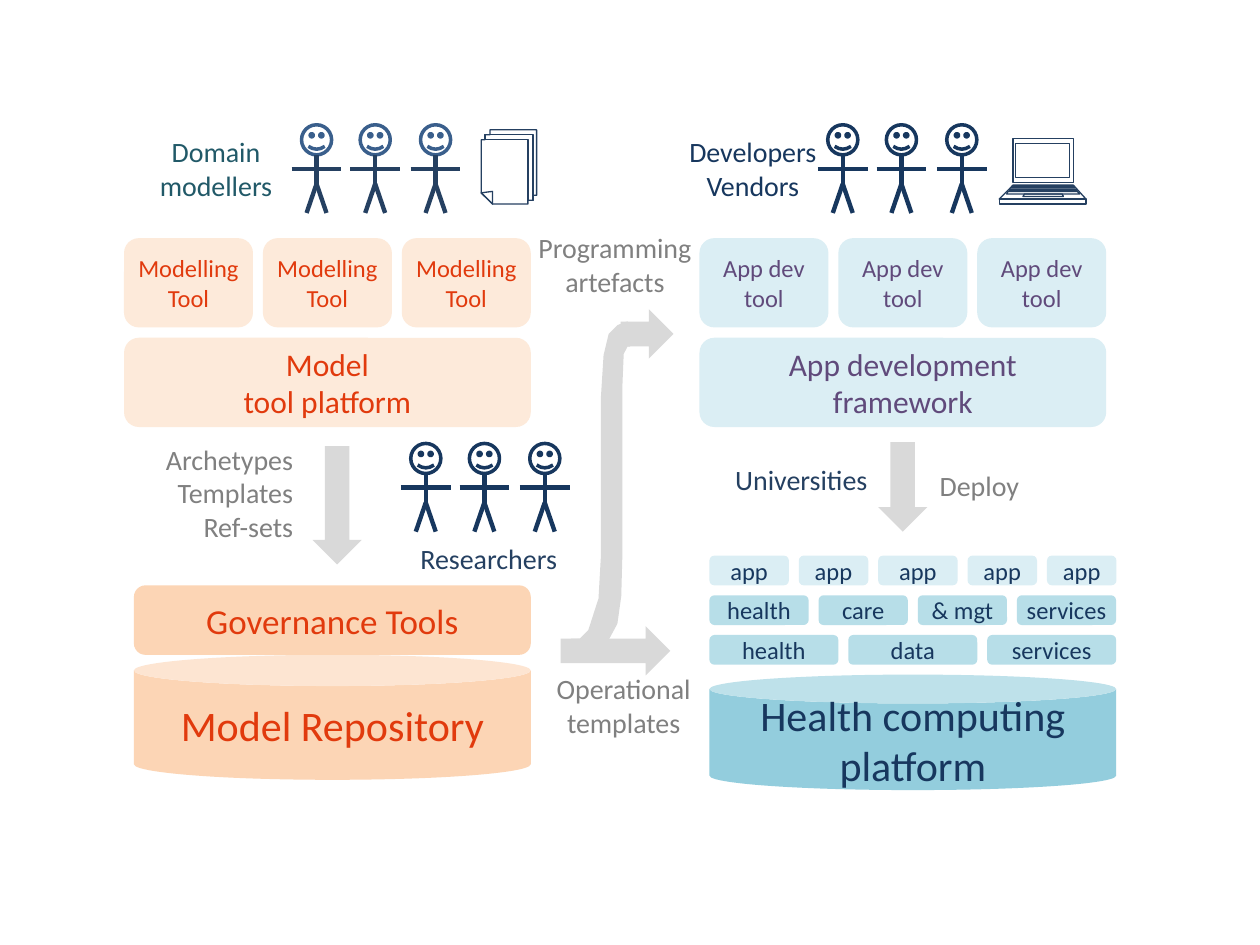
from lxml.etree import SubElement
from pptx import Presentation
from pptx.dml.color import RGBColor as Rgb
from pptx.enum.shapes import MSO_CONNECTOR as Link, MSO_SHAPE as Kind
from pptx.enum.text import MSO_ANCHOR as Anchor, PP_ALIGN as Align
from pptx.oxml.ns import qn
from pptx.util import Pt

HUES = {
    "white": "FFFFFF", "grey": "D9D9D9", "label": "808080", "navy": "17375E",
    "ink": "254061", "face": "3A5F8C", "teal": "215968", "red": "E13A0D",
    "plum": "604A7B", "cream": "FDEADA", "peach": "FCD5B5", "ice": "DBEEF4",
    "sky": "B7DEE8", "sea": "93CDDD",
}
GAP = 5.67
TILE = 73.7
WIDE = 232.4
LEFT, RIGHT, BASE = 70.9, 399.7, 405.4

BEND = [
    (326.2, 365), (331.2, 365), (336.2, 360), (342, 342), (343.4, 317.5),
    (343.4, 226.8), (344.9, 203), (347.8, 190.8), (352.8, 185.8),
    (358.6, 183.6), (358.6, 198), (356.4, 202.3), (355.7, 219.6),
    (355.7, 315.4), (355, 340.6), (352.8, 356.4), (347, 367.2),
]
PAPER = [
    [(275, 110.2), (275, 79.9), (277.2, 79.9), (277.2, 77), (280.1, 77),
     (280.1, 74.2), (306.7, 74.2), (306.7, 111.6), (304.6, 111.6),
     (304.6, 114.5), (301.7, 114.5), (301.7, 116.6), (281.5, 116.6)],
    [(280.1, 77), (304.6, 77), (304.6, 114.5), (301.7, 114.5),
     (301.7, 79.9), (277.2, 79.9), (277.2, 77)],
    [(275, 110.2), (281.5, 109.4), (281.5, 116.6)],
]
LAPTOP = [
    (578.9, 613.4, 79.2, 578.9, 613.4, 104.4),
    (578.9, 613.4, 105.8, 571, 620.6, 113.8),
    (571, 620.6, 113.8, 571, 620.6, 116.6),
    (580.3, 611.3, 82.1, 580.3, 611.3, 101.5),
    (578.9, 613.4, 106.6, 577.4, 614.2, 107.3),
    (585.4, 607, 110.9, 584.6, 607.7, 112.3),
    (577.4, 614.2, 108, 576.7, 615.6, 108.7),
    (576, 615.6, 109.4, 575.3, 617, 110.9),
]


class Board:
    """Draws styled elements on one slide, with lengths in points."""

    def __init__(self, slide, face="Calibri"):
        self.shapes = slide.shapes
        self.face = face

    def hue(self, name):
        return Rgb.from_string(HUES[name])

    def paint(self, shape, fill, line=None, width=0.75):
        shape.shadow.inherit = False
        shape.fill.solid()
        shape.fill.fore_color.rgb = self.hue(fill)
        if line:
            shape.line.color.rgb = self.hue(line)
            shape.line.width = Pt(width)
        else:
            shape.line.fill.background()

    def words(self, frame, text, size, tint, align=Align.CENTER):
        frame.text = text
        for para in frame.paragraphs:
            para.alignment = align
            para.font.name = self.face
            para.font.size = Pt(size)
            para.font.color.rgb = self.hue(tint)

    def shape(self, kind, box, fill, line=None, width=0.75):
        shape = self.shapes.add_shape(kind, *map(Pt, box))
        self.paint(shape, fill, line, width)
        return shape

    def block(self, text, box, fill, tint, size=14, kind=Kind.ROUNDED_RECTANGLE):
        frame = self.shape(kind, box, fill).text_frame
        frame.margin_left = frame.margin_right = Pt(2.83)
        frame.margin_top = frame.margin_bottom = Pt(2.83)
        frame.word_wrap = True
        frame.vertical_anchor = Anchor.MIDDLE
        self.words(frame, text, size, tint)

    def row(self, items, left, top, high, fill, tint):
        for text, wide in items:
            self.block(text, (left, top, wide, high), fill, tint)
            left += wide + GAP

    def label(self, text, box, tint="label", align=Align.CENTER):
        frame = self.shapes.add_textbox(*map(Pt, box)).text_frame
        frame.word_wrap = False
        self.words(frame, text, 16, tint, align)

    def arrow(self, box, turn=0):
        self.shape(Kind.DOWN_ARROW, box, "grey").rotation = turn

    def line(self, ends, tint, width):
        link = self.shapes.add_connector(Link.STRAIGHT, *map(Pt, ends))
        link.line.color.rgb = self.hue(tint)
        link.line.width = Pt(width)
        SubElement(link._element.spPr, qn("a:effectLst"))

    def outline(self, loops, fill, line=None):
        pen = None
        for loop in loops:
            first, *rest = [(Pt(x), Pt(y)) for x, y in loop]
            if pen:
                pen.move_to(*first)
            else:
                pen = self.shapes.build_freeform(*first, scale=1.0)
            pen.add_line_segments(rest, close=True)
        self.paint(pen.convert_to_shape(), fill, line)

    def person(self, x, y, face, body):
        self.shape(Kind.SMILEY_FACE, (x - 8.6, y, 17.2, 17.2), "white", face, 2)
        hip = y + 33.8
        self.line((x, y + 17.3, x, y + 34.6), body, 2.5)
        for foot in (x + 5.7, x - 5.7):
            self.line((x, hip, foot, y + 50.4), body, 2.5)
        self.line((x - 14.2, y + 25.2, x + 14.2, y + 25.2), body, 2.5)

    def team(self, x, y, face="navy", body="navy"):
        for step in (0, 33.5, 68):
            self.person(x + step, y, face, body)


def main():
    deck = Presentation()
    deck.slide_width, deck.slide_height = Pt(720), Pt(540)
    board = Board(deck.slides.add_slide(deck.slide_layouts[6]))

    board.arrow((178.6, 254.9, 28.1, 67.7))
    board.arrow((501.8, 252.7, 28.1, 51.1))
    board.arrow((355.7, 175.7, 28.1, 30.2), 270)
    board.arrow((337.7, 340.6, 28.1, 62.6), 270)
    board.outline([BEND], "grey")
    board.line((345.6, 369.4, 329.8, 366.5), "grey", 3)
    board.line((358.6, 198, 359.3, 185), "grey", 3)

    sides = (
        (LEFT, "Modelling Tool", "Model\vtool platform", "cream", "red"),
        (RIGHT, "App dev tool", "App development\vframework", "ice", "plum"),
    )
    for left, tool, frame, fill, tint in sides:
        board.row([(tool, TILE)] * 3, left, 136.1, 51, fill, tint)
        board.block(frame, (left, 193, WIDE, 51), fill, tint, 18)

    rows = (
        ("ice", [("app", wide) for wide in (45.4, 39.7, 45.4, 39.7, 39.7)]),
        ("sky", [("health", 56.7), ("care", 51), ("& mgt", 51), ("services", 56.7)]),
        ("sky", [(text, TILE) for text in ("health", "data", "services")]),
    )
    for rank, (fill, items) in enumerate(rows):
        board.row(items, BASE, 317.5 + rank * 22.68, 17, fill, "navy")

    board.block("Health computing platform", (BASE, 385.5, WIDE, 66),
                "sea", "navy", 24, Kind.CAN)
    board.block("Model Repository", (76.5, 374.2, 226.8, 71.4),
                "peach", "red", 24, Kind.CAN)
    board.block("Governance Tools", (76.5, 334.5, 226.8, 39.7),
                "peach", "red", 20)

    board.label("Archetypes\vTemplates\vRef-sets", (87.6, 249.1, 87, 65.5),
                align=Align.RIGHT)
    board.label("Deploy", (529.9, 264.2, 60.5, 26.6), align=Align.LEFT)
    board.label("Domain\vmodellers", (83.5, 73.4, 79.9, 46), "teal")
    board.label("Developers\nVendors", (385.9, 73.4, 88.6, 46), "navy")
    board.label("Programming\vartefacts", (298.1, 128.2, 106.6, 46))
    board.label("Operational\vtemplates", (310.3, 380.2, 92.2, 46))
    board.label("Universities", (411.1, 260.6, 93.6, 26.6), "ink")
    board.label("Researchers", (231.8, 306, 95, 26.6), "ink")

    board.team(180.9, 71.3, "face", "ink")
    board.team(481.6, 71.3)
    board.team(243.3, 253.4)
    board.outline(PAPER, "white", "ink")
    quads = [[(a, t), (b, t), (d, u), (c, u)] for a, b, t, c, d, u in LAPTOP]
    board.outline(quads, "white", "ink")

    deck.save("out.pptx")


if __name__ == "__main__":
    main()
